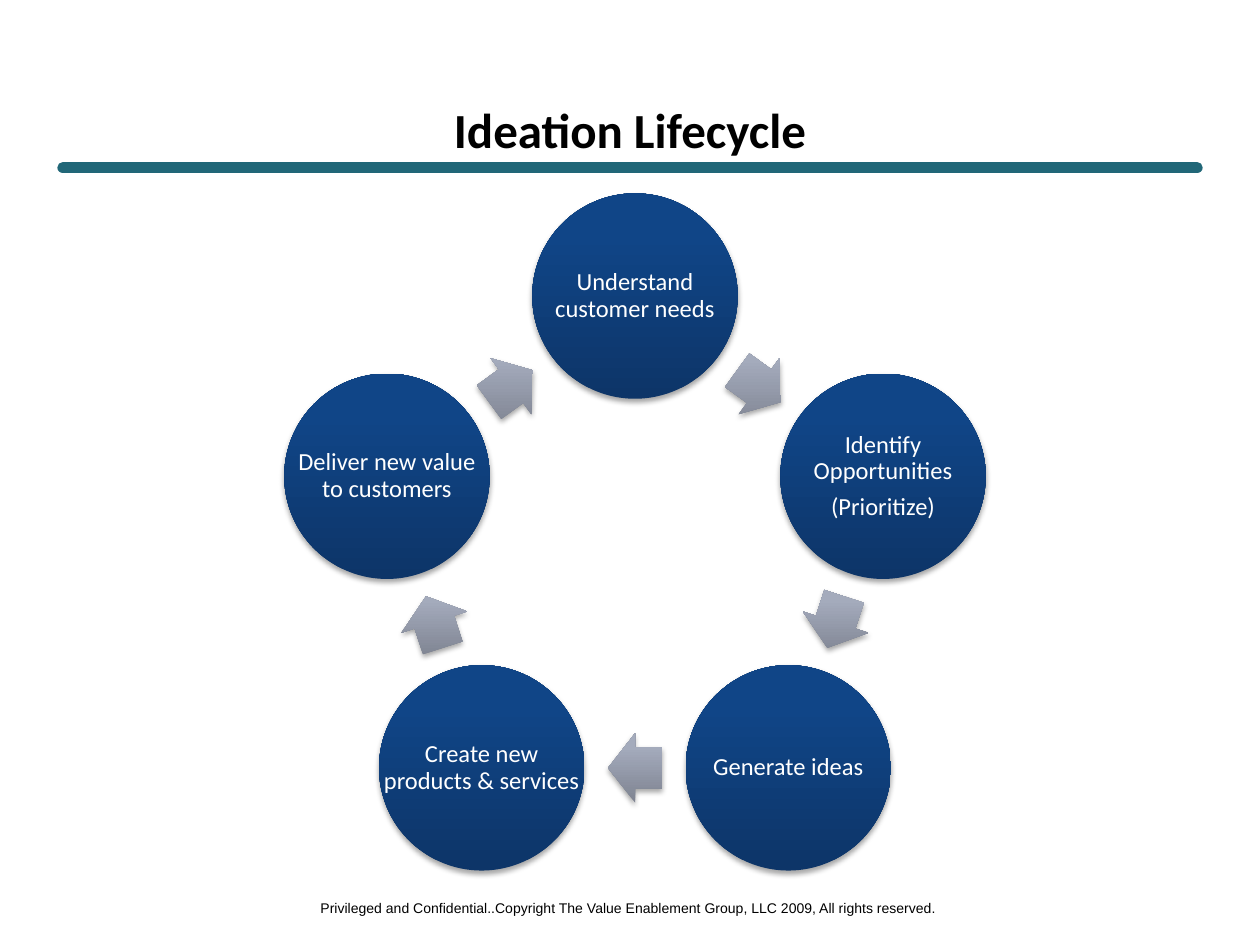
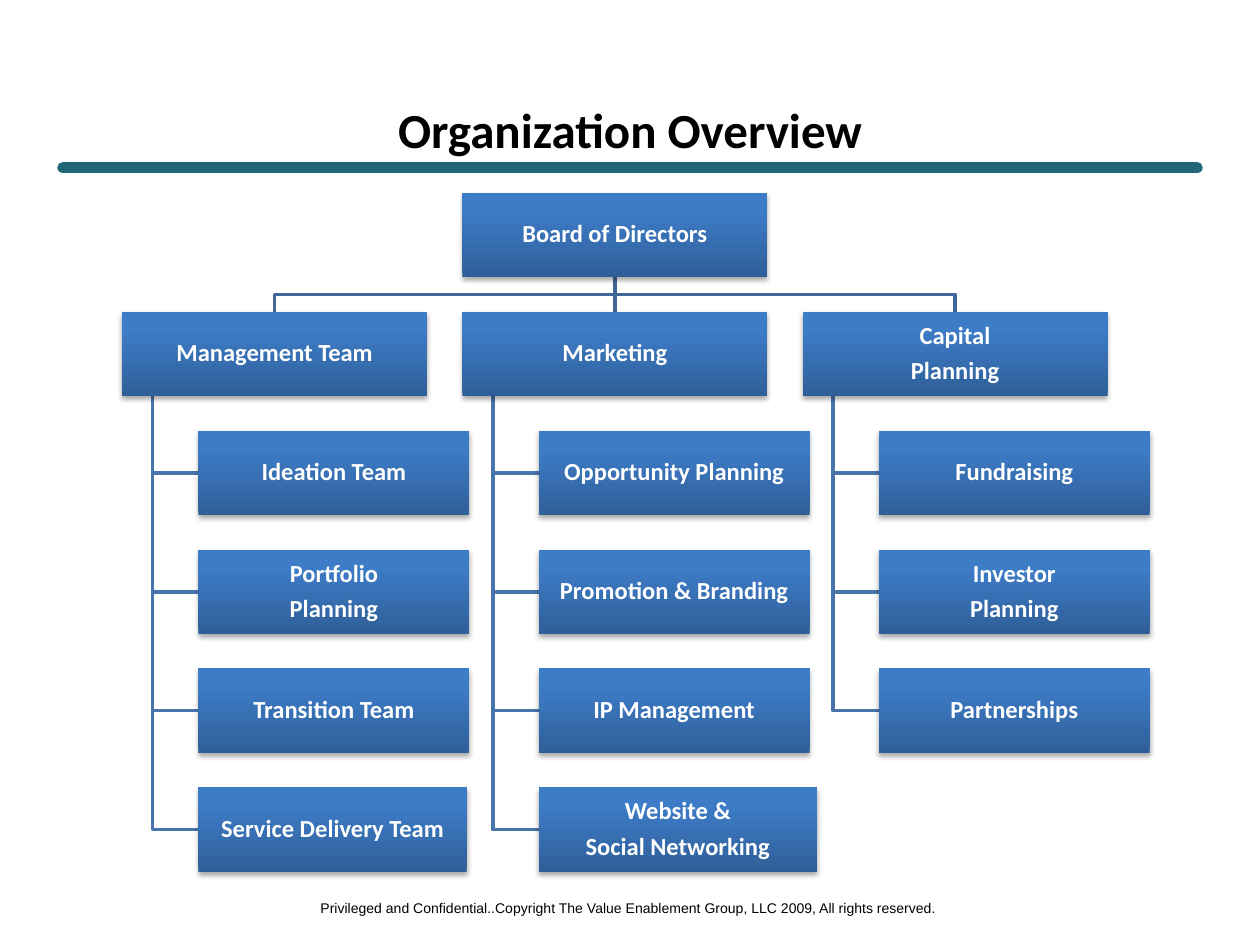
"""Builds the ideation lifecycle and organization overview slides."""
from dataclasses import dataclass
from math import cos, radians, sin

from lxml import etree
from pptx import Presentation
from pptx.dml.color import RGBColor
from pptx.enum.shapes import MSO_CONNECTOR, MSO_SHAPE
from pptx.enum.text import MSO_ANCHOR, MSO_AUTO_SIZE, PP_ALIGN
from pptx.oxml.ns import qn
from pptx.util import Inches, Pt

ELLIPSE, RECTANGLE, ARROW = MSO_SHAPE.OVAL, MSO_SHAPE.RECTANGLE, MSO_SHAPE.RIGHT_ARROW
STRAIGHT = MSO_CONNECTOR.STRAIGHT
CENTER, MIDDLE = PP_ALIGN.CENTER, MSO_ANCHOR.MIDDLE
NO_FIT = MSO_AUTO_SIZE.NONE

SLIDE_W, SLIDE_H = 10, 7.5
MARGIN = 0.05 * SLIDE_W
TITLE_ONLY = 5
BLACK, WHITE, TEAL = "000000", "FFFFFF", "216778"
NAVY_SHADES = ("0D3568", "104587")
GREY_SHADES = ("7E8391", "A4ABBC")
BLUE_SHADES = ("2F5F99", "3D7CC7")
TRUNK_BLUE, BRANCH_BLUE = "3F6797", "4875AC"
FOOTER = ("Privileged and Confidential..Copyright The Value Enablement Group, "
          "LLC 2009, All rights reserved.")

RING_X, RING_Y, RING_RADIUS = 5.04, 4.42, 2.07
STAGE_SIZE = 1.63
ARROW_W, ARROW_H = 0.43, 0.55
STAGES = ("Understand customer needs", "Identify Opportunities\n(Prioritize)",
          "Generate ideas", "Create new products & services",
          "Deliver new value to customers")

FIRST_COLUMN, COLUMN_PITCH = 0.97, 2.7
FIRST_ROW, LAST_ROW, ROW_COUNT = 1.53, 6.25, 6
ROW_PITCH = (LAST_ROW - FIRST_ROW) / (ROW_COUNT - 1)
HEAD_W, UNIT_H = 2.42, 0.67
UNIT_INDENT, BRANCH_INDENT = HEAD_W / 4, HEAD_W / 10


@dataclass(frozen=True)
class Area:
    """Place and size in inches."""
    left: float
    top: float
    width: float
    height: float

    def emu(self) -> tuple:
        """Return the four lengths for python-pptx."""
        return tuple(Inches(v) for v in (self.left, self.top, self.width, self.height))


@dataclass(frozen=True)
class Unit:
    """A unit that reports to a department."""
    label: str
    width: float = 2.15


@dataclass(frozen=True)
class Department:
    """A department and its units."""
    label: str
    units: tuple


DEPARTMENTS = (
    Department("Management Team", (
        Unit("Ideation Team"), Unit("Portfolio\nPlanning"),
        Unit("Transition Team"), Unit("Service Delivery Team", 2.13))),
    Department("Marketing", (
        Unit("Opportunity Planning"), Unit("Promotion & Branding"),
        Unit("IP Management"), Unit("Website &\nSocial Networking", 2.21))),
    Department("Capital\nPlanning", (
        Unit("Fundraising"), Unit("Investor\nPlanning"), Unit("Partnerships"))),
)


def rgb(color: str) -> RGBColor:
    """Turn a hex string into a colour."""
    return RGBColor.from_string(color)


def set_font(paragraph, name: str, size: float, color: str, bold: bool = False) -> None:
    """Set the font of a centred paragraph."""
    paragraph.alignment = CENTER
    font = paragraph.font
    font.name, font.size, font.bold = name, Pt(size), bold
    font.color.rgb = rgb(color)


def write_label(shape, text: str, inset: float, bold: bool) -> None:
    """Write white wrapped text in the middle of a shape."""
    frame = shape.text_frame
    frame.text = text
    frame.word_wrap = True
    frame.vertical_anchor = MIDDLE
    frame.margin_left = frame.margin_right = Inches(inset)
    frame.margin_top = frame.margin_bottom = Inches(inset)
    for paragraph in frame.paragraphs:
        paragraph.line_spacing = 0.9
        paragraph.space_after = Pt(5)
        set_font(paragraph, "Calibri", 14, WHITE, bold)


def add_shaded(slide, kind, area: Area, shades: tuple):
    """Add a shape with an upright gradient and a soft shadow."""
    shape = slide.shapes.add_shape(kind, *area.emu())
    shape.line.fill.background()
    shape.fill.gradient()
    shape.fill.gradient_angle = 90
    for stop, color, position in zip(shape.fill.gradient_stops, shades, (0, 0.8)):
        stop.color.rgb = rgb(color)
        stop.position = position
    properties = shape._element.spPr
    properties.find(qn("a:gradFill")).set("rotWithShape", "0")
    shape.shadow.inherit = False
    shadow = etree.SubElement(properties.find(qn("a:effectLst")), qn("a:outerShdw"),
                              blurRad=str(Pt(3.1)), dist=str(Pt(1.8)),
                              dir="5400000", rotWithShape="0")
    tint = etree.SubElement(shadow, qn("a:srgbClr"), val=BLACK)
    etree.SubElement(tint, qn("a:alpha"), val="35000")
    return shape


def add_line(slide, start: tuple, end: tuple, color: str, width: float):
    """Add a straight line without a shadow."""
    line = slide.shapes.add_connector(STRAIGHT, *(Inches(v) for v in start + end))
    line.line.color.rgb = rgb(color)
    line.line.width = Pt(width)
    etree.SubElement(line._element.spPr, qn("a:effectLst"))
    return line


def add_elbow(slide, points: list, color: str) -> None:
    """Add an open bent line through the points."""
    corners = [(Inches(x), Inches(y)) for x, y in points]
    builder = slide.shapes.build_freeform(*corners[0])
    builder.add_line_segments(corners[1:], close=False)
    elbow = builder.convert_to_shape()
    elbow.fill.background()
    elbow.line.color.rgb = rgb(color)
    elbow.line.width = Pt(2)
    elbow.shadow.inherit = False


def add_framed_slide(deck, heading: str):
    """Add a slide with its title, rule and footer."""
    slide = deck.slides.add_slide(deck.slide_layouts[TITLE_ONLY])
    rule = add_line(slide, (MARGIN, 1.33), (SLIDE_W - MARGIN, 1.33), TEAL, 6.5)
    rule.line._get_or_add_ln().set("cap", "rnd")

    footer = slide.shapes.add_textbox(*Area(2.41, 7.09, 5.16, 0.24).emu()).text_frame
    footer.word_wrap = False
    footer.text = FOOTER
    set_font(footer.paragraphs[0], "Arial", 8, BLACK)

    title = slide.shapes.title
    title.left, title.top, title.width, title.height = Area(
        MARGIN, 0.83, SLIDE_W - 2 * MARGIN, 0.38).emu()
    title.text_frame.text = heading
    title.text_frame.auto_size = NO_FIT
    title.text_frame.vertical_anchor = MIDDLE
    set_font(title.text_frame.paragraphs[0], "Calibri", 28, BLACK, True)
    return slide


def ring_area(angle: float, radius: float, width: float, height: float) -> Area:
    """Return the area centred at a clockwise angle from the top of the ring."""
    x = RING_X + radius * sin(radians(angle))
    y = RING_Y - radius * cos(radians(angle))
    return Area(x - width / 2, y - height / 2, width, height)


def build_lifecycle(deck) -> None:
    """Draw the stages in a ring with an arrow after each."""
    slide = add_framed_slide(deck, "Ideation Lifecycle")
    step = 360 / len(STAGES)
    for index, stage in enumerate(STAGES):
        angle = index * step
        circle = ring_area(angle, RING_RADIUS, STAGE_SIZE, STAGE_SIZE)
        add_shaded(slide, ELLIPSE, circle, NAVY_SHADES)
        write_label(slide.shapes.add_textbox(*circle.emu()), stage, 0.02, False)

        heading = angle + step / 2
        middle = RING_RADIUS * cos(radians(step / 2))
        arrow = add_shaded(slide, ARROW, ring_area(heading, middle, ARROW_W, ARROW_H),
                           GREY_SHADES)
        arrow.rotation = heading
        arrow.adjustments[0], arrow.adjustments[1] = 0.6, 0.5


def column_left(column: int) -> float:
    """Return the left edge of a department column."""
    return FIRST_COLUMN + column * COLUMN_PITCH


def row_top(row: int) -> float:
    """Return the top edge of a row of the chart."""
    return FIRST_ROW + row * ROW_PITCH


def add_box(slide, label: str, left: float, row: int, width: float) -> None:
    """Add a labelled box of the organization chart."""
    box = add_shaded(slide, RECTANGLE, Area(left, row_top(row), width, UNIT_H), BLUE_SHADES)
    write_label(box, label, 0.01, True)


def add_trunk(slide, column: int) -> None:
    """Link the board to a department."""
    board_x = column_left(1) + HEAD_W / 2
    x = column_left(column) + HEAD_W / 2
    top, bottom = row_top(0) + UNIT_H, row_top(1)
    if column == 1:
        add_line(slide, (x, top), (x, bottom), TRUNK_BLUE, 2)
    else:
        bend = (top + bottom) / 2
        add_elbow(slide, [(board_x, top), (board_x, bend), (x, bend), (x, bottom)],
                  TRUNK_BLUE)


def build_organization(deck) -> None:
    """Draw the board, its departments and their units."""
    slide = add_framed_slide(deck, "Organization Overview")
    for column, department in enumerate(DEPARTMENTS):
        add_trunk(slide, column)
        left = column_left(column)
        spine = left + BRANCH_INDENT
        for row, _ in enumerate(department.units, start=2):
            y = row_top(row) + UNIT_H / 2
            add_elbow(slide, [(spine, row_top(1) + UNIT_H), (spine, y),
                              (left + UNIT_INDENT, y)], BRANCH_BLUE)

    add_box(slide, "Board of Directors", column_left(1), 0, HEAD_W)
    for column, department in enumerate(DEPARTMENTS):
        left = column_left(column)
        add_box(slide, department.label, left, 1, HEAD_W)
        for row, unit in enumerate(department.units, start=2):
            add_box(slide, unit.label, left + UNIT_INDENT, row, unit.width)


def main() -> None:
    """Build and save the presentation."""
    deck = Presentation()
    deck.slide_width, deck.slide_height = Inches(SLIDE_W), Inches(SLIDE_H)
    build_lifecycle(deck)
    build_organization(deck)
    deck.save("out.pptx")


if __name__ == "__main__":
    main()
